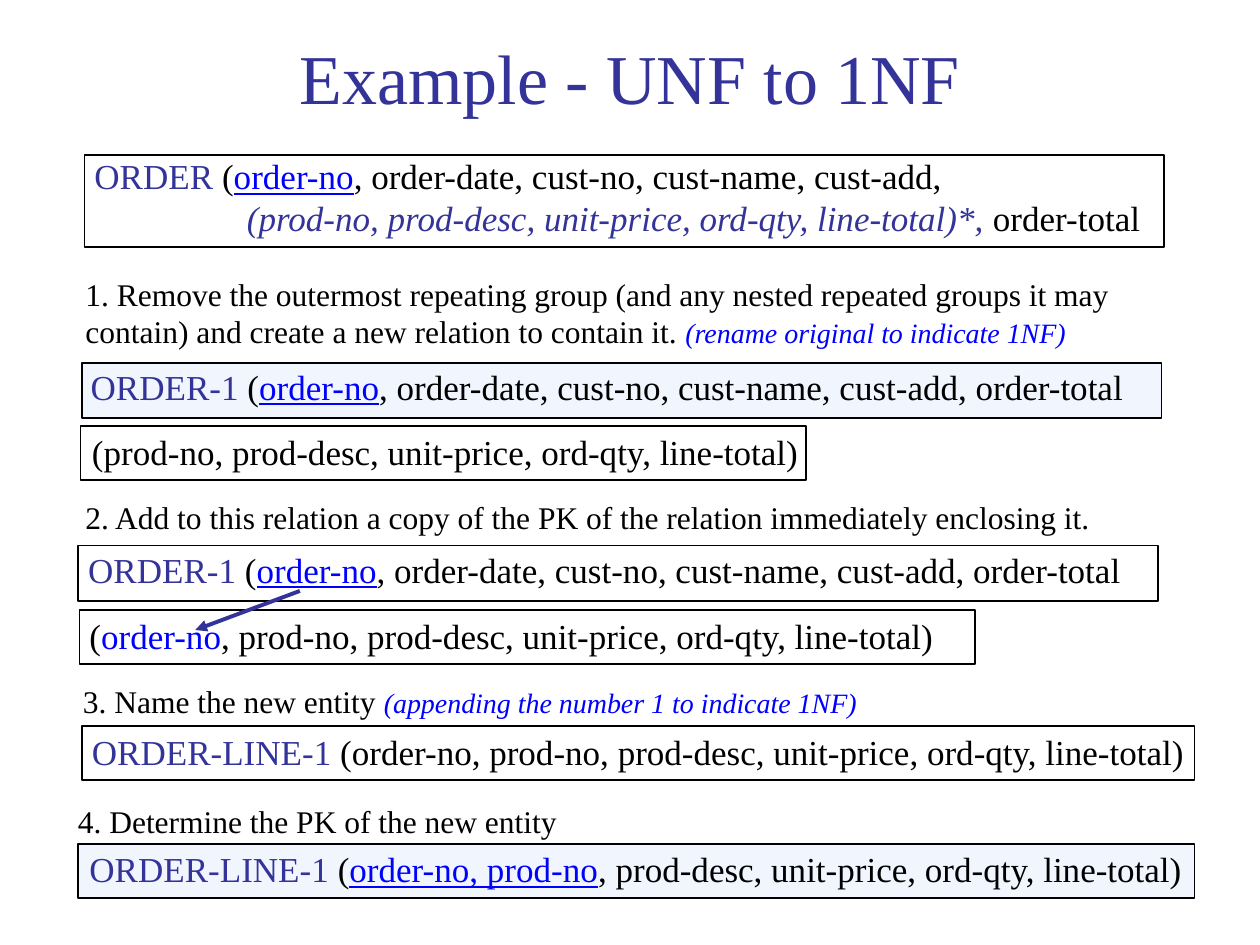
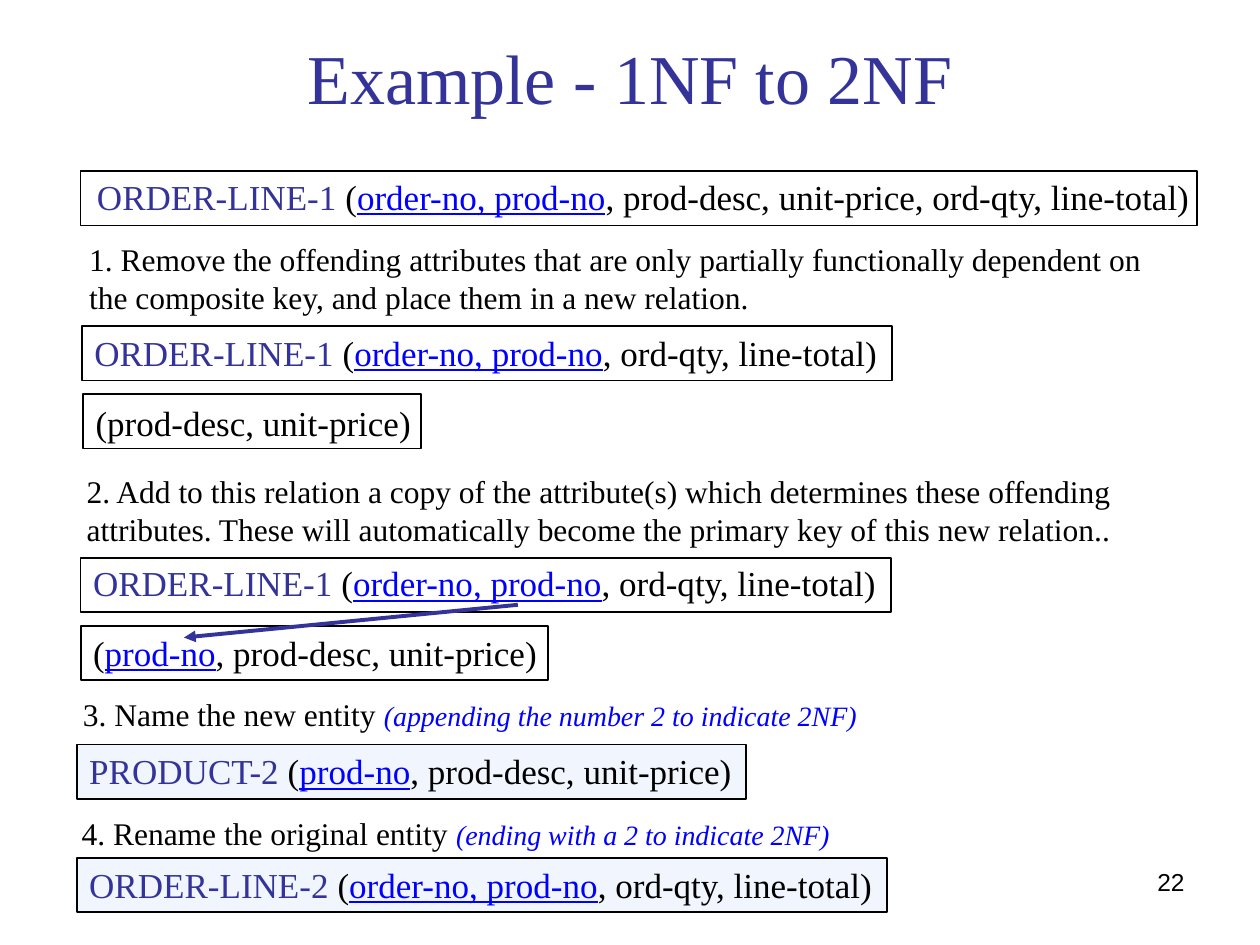
"""Build two slides that walk a relation from UNF to 1NF and on to 2NF."""
from lxml.etree import SubElement
from pptx import Presentation
from pptx.dml.color import RGBColor
from pptx.enum.shapes import MSO_CONNECTOR, MSO_SHAPE
from pptx.enum.text import MSO_ANCHOR, PP_ALIGN
from pptx.oxml.ns import qn
from pptx.util import Inches, Pt

NAVY = RGBColor(0x33, 0x33, 0x99)
BLUE = RGBColor(0x00, 0x00, 0xFF)
BLACK = RGBColor(0x00, 0x00, 0x00)
WHITE = RGBColor(0xFF, 0xFF, 0xFF)
PALE = RGBColor(0xF0, 0xF5, 0xFE)
SERIF, SANS = "Times New Roman", "Arial"

PLAIN = {"color": BLACK}
ENTITY = {"color": NAVY}
KEY = {"color": BLUE, "underline": True}
COPIED_KEY = {"color": BLUE}
REPEATING = {"color": NAVY, "italic": True}
HINT = {"color": BLUE, "italic": True, "size": 16}

ROW_HEIGHT = 0.43
STEP_WIDTH = 8.7
GROUP_INDENT = 1.21

ORDER_REST = ", order-date, cust-no, cust-name, cust-add"
PRODUCT_REST = ", prod-desc, unit-price)"
LINE_REST = ", prod-desc, unit-price, ord-qty, line-total)"
SHORT_LINE_REST = ", ord-qty, line-total)"
LINE_KEY = "order-no, prod-no"


def relation(entity, key, rest, key_style=KEY):
    """Return the runs of one relation."""
    opening = " (" if entity else "("
    runs = [(entity, ENTITY), (opening, PLAIN), (key, key_style), (rest, PLAIN)]
    return [run for run in runs if run[0]]


ORDER = relation("ORDER", "order-no", ORDER_REST + ",")
ORDER_GROUP = [
    ("(prod-no, prod-desc, unit-price, ord-qty, line-total)*,", REPEATING),
    (" order-total", PLAIN),
]
ORDER_1 = relation("ORDER-1", "order-no", ORDER_REST + ", order-total")
KEYED_LINE = relation("ORDER-LINE-1", LINE_KEY, LINE_REST)
SHORT_LINE = relation("ORDER-LINE-1", LINE_KEY, SHORT_LINE_REST)

# boxes: left, top, width, height, fill, text inset (left, top), lines
# steps: left, top, line spacing, runs
SLIDES = [
    {
        "title": "Example - UNF to 1NF",
        "boxes": [
            (0.67, 1.23, 8.57, 0.73, WHITE, (0.08, 0), [ORDER, ORDER_GROUP]),
            (0.65, 2.88, 8.57, 0.44, PALE, (0.07, 0.02), [ORDER_1]),
            (0.64, 3.38, 5.76, ROW_HEIGHT, WHITE, (0.09, 0.04),
             [relation("", "", "prod-no" + LINE_REST)]),
            (0.62, 4.33, 8.57, 0.44, WHITE, (0.08, 0.02), [ORDER_1]),
            (0.63, 4.84, 7.11, ROW_HEIGHT, WHITE, (0.08, 0.04),
             [relation("", "order-no", ", prod-no" + LINE_REST, COPIED_KEY)]),
            (0.65, 5.76, 8.83, ROW_HEIGHT, WHITE, (0.08, 0.04),
             [relation("ORDER-LINE-1", "", LINE_KEY + LINE_REST)]),
            (0.62, 6.7, 8.86, ROW_HEIGHT, PALE, (0.09, 0.03), [KEYED_LINE]),
        ],
        "steps": [
            (0.58, 2.13, 1, [
                ("1. Remove the outermost repeating group (and any nested repeated groups "
                 "it may contain) and create a new relation to contain it. ", PLAIN),
                ("(rename original to indicate 1NF)", HINT)]),
            (0.58, 3.9, 1, [
                ("2. Add to this relation a copy of the PK of the relation "
                 "immediately enclosing it.", PLAIN)]),
            (0.56, 5.4, 0.9, [
                ("3. Name the new entity ", PLAIN),
                ("(appending the number 1 to indicate 1NF)", HINT)]),
            (0.52, 6.32, 1, [("4. Determine the PK of the new entity", PLAIN)]),
        ],
        "key_arrow": (2.38, 4.69, 1.55, 5),
        "number": None,
    },
    {
        "title": "Example - 1NF to 2NF",
        "boxes": [
            (0.64, 1.36, 8.86, ROW_HEIGHT, WHITE, (0.13, 0.03), [KEYED_LINE]),
            (0.65, 2.59, 6.43, ROW_HEIGHT, WHITE, (0.1, 0.04), [SHORT_LINE]),
            (0.66, 3.13, 2.68, ROW_HEIGHT, WHITE, (0.1, 0.06),
             [relation("", "", "prod-desc, unit-price)")]),
            (0.64, 4.43, 6.43, ROW_HEIGHT, WHITE, (0.1, 0.03), [SHORT_LINE]),
            (0.64, 4.97, 3.71, ROW_HEIGHT, WHITE, (0.1, 0.04),
             [relation("", "prod-no", PRODUCT_REST)]),
            (0.61, 5.91, 5.31, ROW_HEIGHT, PALE, (0.1, 0.04),
             [relation("PRODUCT-2", "prod-no", PRODUCT_REST)]),
            (0.61, 6.81, 6.43, ROW_HEIGHT, PALE, (0.1, 0.04),
             [relation("ORDER-LINE-2", LINE_KEY, SHORT_LINE_REST)]),
        ],
        "steps": [
            (0.61, 1.86, 1, [
                ("1. Remove the offending attributes that are only partially functionally "
                 "dependent on the composite key, and place them in a new relation.", PLAIN)]),
            (0.59, 3.7, 1, [
                ("2. Add to this relation a copy of the attribute(s) which determines these "
                 "offending attributes. These will automatically become the primary key of "
                 "this new relation..", PLAIN)]),
            (0.56, 5.5, 0.9, [
                ("3. Name the new entity ", PLAIN),
                ("(appending the number 2 to indicate 2NF)", HINT)]),
            (0.55, 6.41, 1, [
                ("4. Rename the original entity ", PLAIN),
                ("(ending with a 2 to indicate 2NF)", HINT)]),
        ],
        "key_arrow": (4.11, 4.8, 1.46, 5.06),
        "number": "22",
    },
]


def write_runs(paragraph, runs, size, font_name=SERIF):
    paragraph.font.name = font_name
    paragraph.font.size = Pt(size)
    for text, style in runs:
        run = paragraph.add_run()
        run.text = text
        run.font.name = font_name
        run.font.size = Pt(style.get("size", size))
        run.font.color.rgb = style["color"]
        run.font.italic = style.get("italic")
        run.font.underline = style.get("underline")


def add_text(slide, place, runs, size, font_name=SERIF, align=PP_ALIGN.LEFT,
             anchor=MSO_ANCHOR.TOP, spacing=1):
    frame = slide.shapes.add_textbox(*map(Inches, place)).text_frame
    frame.word_wrap = True
    frame.vertical_anchor = anchor
    paragraph = frame.paragraphs[0]
    paragraph.alignment = align
    paragraph.line_spacing = spacing
    write_runs(paragraph, runs, size, font_name)


def add_relation_box(slide, left, top, width, height, fill, inset, lines):
    shape = slide.shapes.add_shape(
        MSO_SHAPE.RECTANGLE, *map(Inches, (left, top, width, height)))
    shape.shadow.inherit = False
    shape.fill.solid()
    shape.fill.fore_color.rgb = fill
    shape.line.color.rgb = BLACK
    shape.line.width = Pt(1)
    frame = shape.text_frame
    frame.word_wrap = True
    frame.vertical_anchor = MSO_ANCHOR.TOP
    frame.margin_left, frame.margin_top = map(Inches, inset)
    frame.margin_right = frame.margin_bottom = 0
    for index, runs in enumerate(lines):
        paragraph = frame.add_paragraph() if index else frame.paragraphs[0]
        paragraph.alignment = PP_ALIGN.LEFT
        if index:
            paragraph._p.get_or_add_pPr().set("marL", str(Inches(GROUP_INDENT)))
        write_runs(paragraph, runs, 20)


def add_key_arrow(slide, ends):
    connector = slide.shapes.add_connector(MSO_CONNECTOR.STRAIGHT, *map(Inches, ends))
    connector.line.color.rgb = NAVY
    connector.line.width = Pt(2.25)
    SubElement(connector.line._get_or_add_ln(), qn("a:tailEnd"), type="triangle")
    SubElement(connector._element.spPr, qn("a:effectLst"))


def build_slide(presentation, content):
    slide = presentation.slides.add_slide(presentation.slide_layouts[6])
    add_text(slide, (0, 0, 10, 1.21), [(content["title"], ENTITY)], 40,
             align=PP_ALIGN.CENTER, anchor=MSO_ANCHOR.MIDDLE)
    for box in content["boxes"]:
        add_relation_box(slide, *box)
    for left, top, spacing, runs in content["steps"]:
        add_text(slide, (left, top, STEP_WIDTH, 0.4), runs, 18, spacing=spacing)
    add_key_arrow(slide, content["key_arrow"])
    if content["number"]:
        add_text(slide, (7.17, 6.83, 2.33, 0.52), [(content["number"], PLAIN)], 14,
                 font_name=SANS, align=PP_ALIGN.RIGHT)


def main():
    presentation = Presentation()
    presentation.slide_width, presentation.slide_height = Inches(10), Inches(7.5)
    for content in SLIDES:
        build_slide(presentation, content)
    presentation.save("out.pptx")


if __name__ == "__main__":
    main()
